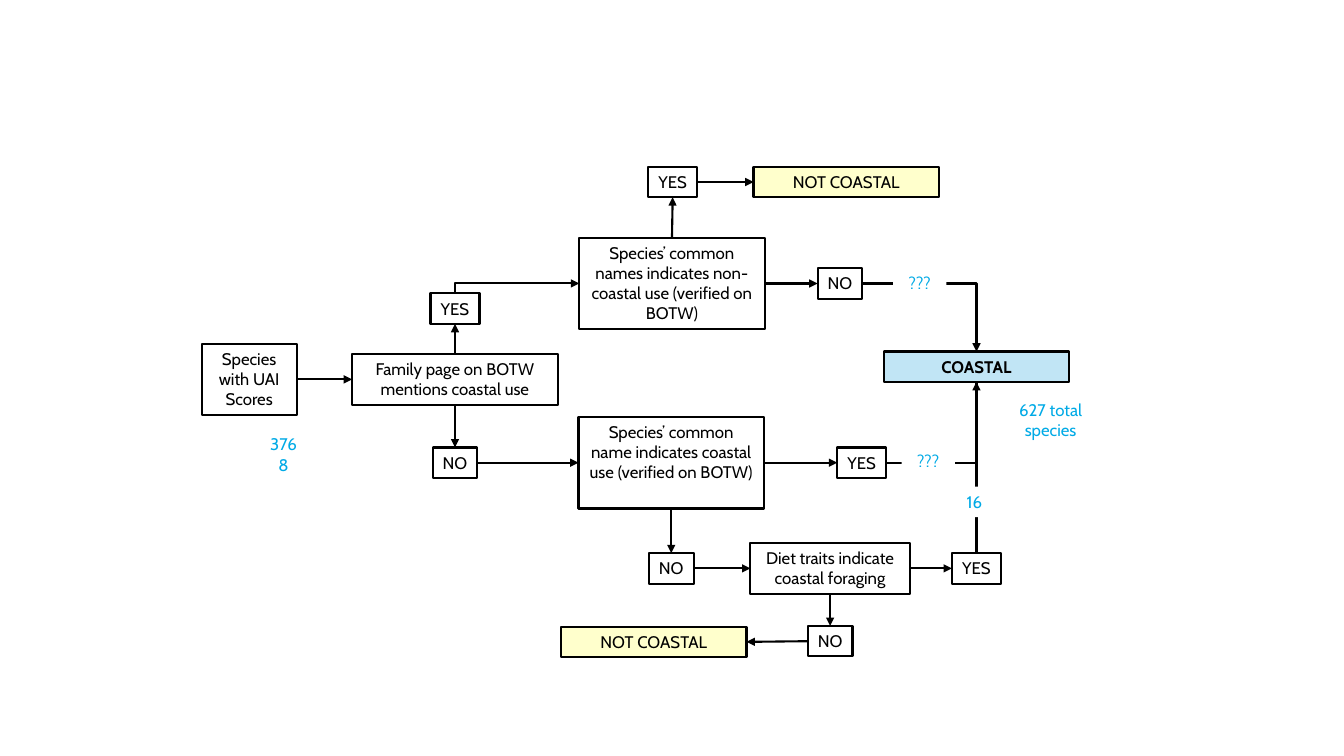
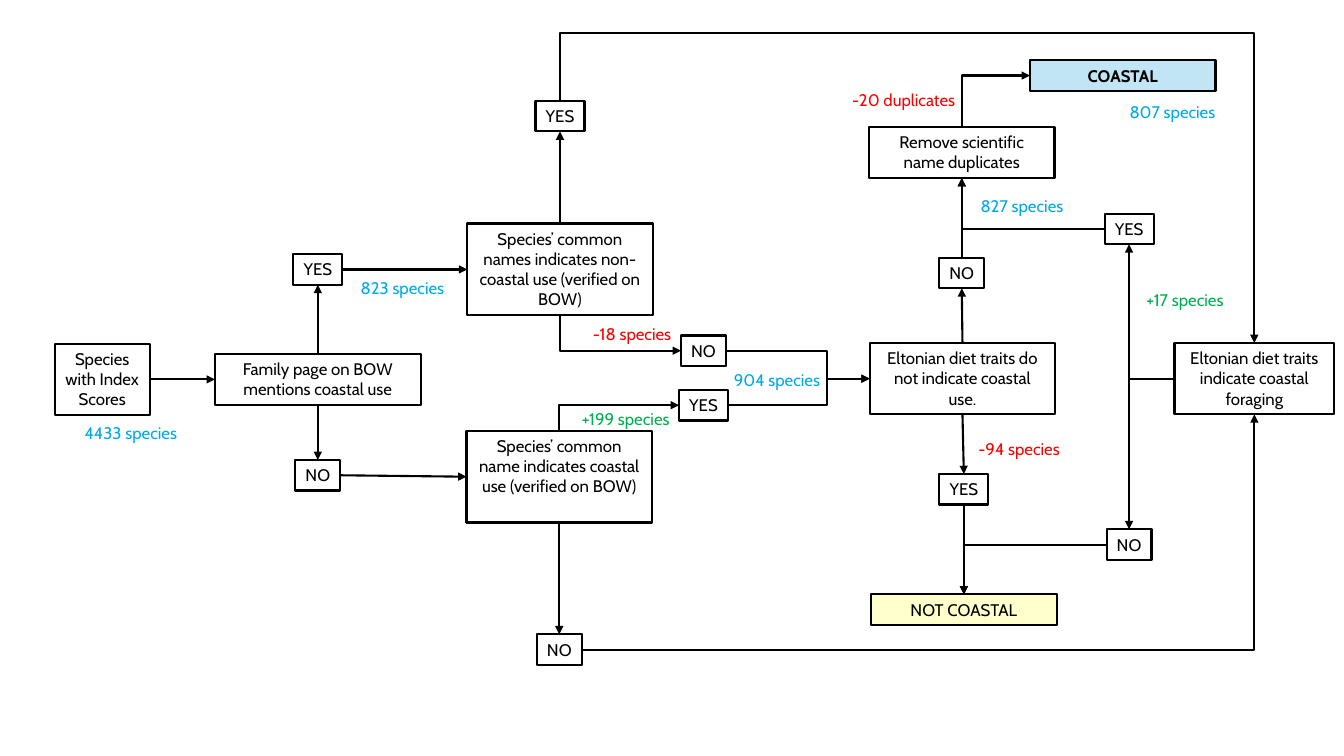
import dataclasses

import lxml.etree
import pptx
import pptx.dml.color
import pptx.enum.shapes
import pptx.enum.text
import pptx.oxml.ns
import pptx.util

Pt = pptx.util.Pt
qn = pptx.oxml.ns.qn
SITES = {"top": 0, "left": 1, "bottom": 2, "right": 3}


def rgb(value):
    return pptx.dml.color.RGBColor.from_string(value)


def apply(target, formats):
    for attribute, value in formats.items():
        setattr(target, attribute, value)


@dataclasses.dataclass(frozen=True)
class Theme:
    font: str = "Cabin"
    text_size: float = 12
    line_width: float = 1.5
    inset: float = 7.2
    line_height: float = 14.6
    ink: str = "000000"
    paper: str = "FFFFFF"
    coastal: str = "C1E5F5"
    not_coastal: str = "FFFFCC"
    count: str = "00AAE6"
    gain: str = "00B050"
    loss: str = "FF0000"
    yes_width: float = 35
    no_width: float = 32
    step_width: float = 132.5
    label_width: float = 88


class Flowchart:
    def __init__(self, presentation, theme):
        self.presentation = presentation
        self.theme = theme
        self.slide = None

    def new_slide(self):
        self.slide = self.presentation.slides.add_slide(self.presentation.slide_layouts[6])

    def frame(self, x, y, width, lines):
        height = self.theme.inset + self.theme.line_height * lines
        return Pt(x - width / 2), Pt(y - height / 2), Pt(width), Pt(height)

    def set_text(self, shape, text, color, bold=False, wrap=True):
        apply(shape.text_frame, {
            "word_wrap": wrap,
            "auto_size": pptx.enum.text.MSO_AUTO_SIZE.NONE,
            "vertical_anchor": pptx.enum.text.MSO_ANCHOR.TOP,
        })
        paragraph = shape.text_frame.paragraphs[0]
        paragraph.alignment = pptx.enum.text.PP_ALIGN.CENTER
        run = paragraph.add_run()
        run.text = text
        apply(run.font, {"name": self.theme.font, "size": Pt(self.theme.text_size), "bold": bold})
        run.font.color.rgb = rgb(color)

    def stroke(self, line):
        line.color.rgb = rgb(self.theme.ink)
        line.width = Pt(self.theme.line_width)

    def step(self, text, x, y, lines=1, width=None, fill=None, bold=False, wrap=True):
        step = self.slide.shapes.add_shape(
            pptx.enum.shapes.MSO_SHAPE.RECTANGLE,
            *self.frame(x, y, width or self.theme.step_width, lines))
        step.shadow.inherit = False
        if fill:
            step.fill.solid()
            step.fill.fore_color.rgb = rgb(fill)
        else:
            step.fill.background()
        self.stroke(step.line)
        self.set_text(step, text, self.theme.ink, bold, wrap)
        return step

    def yes(self, x, y):
        return self.step("YES", x, y, width=self.theme.yes_width, wrap=False)

    def no(self, x, y):
        return self.step("NO", x, y, width=self.theme.no_width, wrap=False)

    def coastal(self, x, y):
        return self.step("COASTAL", x, y, fill=self.theme.coastal, bold=True)

    def not_coastal(self, x, y):
        return self.step("NOT COASTAL", x, y, fill=self.theme.not_coastal)

    def label(self, text, x, y, color, width=None, lines=1, masked=False):
        label = self.slide.shapes.add_textbox(
            *self.frame(x, y, width or self.theme.label_width, lines))
        if masked:
            label.fill.solid()
            label.fill.fore_color.rgb = rgb(self.theme.paper)
        self.set_text(label, text, color)

    def connect(self, kind, source, source_side, target, target_side, arrow=True):
        link = self.slide.shapes.add_connector(kind, 0, 0, 0, 0)
        link.begin_connect(source, SITES[source_side])
        link.end_connect(target, SITES[target_side])
        self.stroke(link.line)
        properties = link._element.spPr
        if arrow:
            lxml.etree.SubElement(properties.find(qn("a:ln")), qn("a:tailEnd"), type="triangle")
        lxml.etree.SubElement(properties, qn("a:effectLst"))
        return link

    def straight(self, source, source_side, target, target_side, arrow=True):
        self.connect(pptx.enum.shapes.MSO_CONNECTOR.STRAIGHT,
                     source, source_side, target, target_side, arrow)

    def elbow(self, source, source_side, target, target_side, bend=None):
        link = self.connect(pptx.enum.shapes.MSO_CONNECTOR.ELBOW,
                            source, source_side, target, target_side)
        across, down = link.end_x - link.begin_x, link.end_y - link.begin_y
        center_x, center_y = link.begin_x + across / 2, link.begin_y + down / 2
        width, height = abs(across), abs(down)
        if source_side in ("top", "bottom"):
            width, height = height, width
            angle, flip_h, flip_v = (90, 1, 1) if down < 0 else (270, 1, 0)
        elif across < 0:
            angle, flip_h, flip_v = 180, 0, int(down > 0)
        else:
            angle, flip_h, flip_v = 0, 0, int(down < 0)
        apply(link, {
            "left": int(center_x - width / 2), "top": int(center_y - height / 2),
            "width": width, "height": height,
        })
        transform = link._element.spPr.find(qn("a:xfrm"))
        for name, value in {"rot": angle * 60000, "flipH": flip_h, "flipV": flip_v}.items():
            transform.set(name, str(value))
        geometry = link._element.spPr.find(qn("a:prstGeom"))
        geometry.set("prst", "bentConnector2" if bend is None else "bentConnector3")
        if bend is not None:
            lxml.etree.SubElement(geometry.find(qn("a:avLst")), qn("a:gd"),
                                  name="adj1", fmla=f"val {round(bend * 100000)}")


def build_first_scheme(chart):
    theme = chart.theme
    chart.new_slide()
    species = chart.step("Species with UAI Scores", 178, 271, 3, 68)
    family = chart.step("Family page on BOTW mentions coastal use", 325, 271, 2, 147)
    family_yes = chart.yes(325, 220.5)
    family_no = chart.no(325, 330.5)
    inland_name = chart.step(
        "Species’ common names indicates non-coastal use (verified on BOTW)", 480, 202.5, 4)
    inland_yes = chart.yes(480.5, 130)
    inland_no = chart.no(600, 202.5)
    coast_name = chart.step(
        "Species’ common name indicates coastal use (verified on BOTW)", 479.5, 330.5, 4)
    coast_yes = chart.yes(615.5, 330.5)
    coast_no = chart.no(479.5, 406)
    diet = chart.step("Diet traits indicate coastal foraging", 593, 406, 2, 114)
    diet_yes = chart.yes(697.5, 406)
    diet_no = chart.no(593, 458)
    coastal = chart.coastal(697.5, 262)
    inland_result = chart.not_coastal(604.5, 130)
    diet_result = chart.not_coastal(467, 458.5)

    for link in (
        (species, "right", family, "left"),
        (family, "top", family_yes, "bottom"),
        (family, "bottom", family_no, "top"),
        (family_no, "right", coast_name, "left"),
        (inland_name, "top", inland_yes, "bottom"),
        (inland_name, "right", inland_no, "left"),
        (inland_yes, "right", inland_result, "left"),
        (coast_name, "right", coast_yes, "left"),
        (coast_name, "bottom", coast_no, "top"),
        (coast_no, "right", diet, "left"),
        (diet, "right", diet_yes, "left"),
        (diet, "bottom", diet_no, "top"),
        (diet_no, "left", diet_result, "right"),
        (coastal, "bottom", diet_yes, "top", False),
    ):
        chart.straight(*link)
    for link in (
        (family_yes, "top", inland_name, "left"),
        (inland_no, "right", coastal, "top"),
        (coast_yes, "right", coastal, "bottom"),
    ):
        chart.elbow(*link)
    for text, x, y, width, lines, masked in (
        ("3768", 202.5, 317.5, 40, 1, True),
        ("627 total species", 750.5, 300, 77, 2, False),
        ("16", 696, 358.5, 38, 1, True),
        ("???", 663, 329, 38, 1, True),
        ("???", 657, 202.5, 38, 1, True),
    ):
        chart.label(text, x, y, theme.count, width, lines, masked)


def build_second_scheme(chart):
    theme = chart.theme
    chart.new_slide()
    species = chart.step("Species with Index Scores", 73, 271, 3, 68)
    family = chart.step("Family page on BOW mentions coastal use", 227, 271, 2, 147)
    family_yes = chart.yes(227, 192.5)
    family_no = chart.no(227, 339.5)
    inland_name = chart.step(
        "Species’ common names indicates non-coastal use (verified on BOW)", 400, 192.5, 4)
    inland_yes = chart.yes(400, 83)
    inland_no = chart.no(502.5, 250.5)
    coast_name = chart.step(
        "Species’ common name indicates coastal use (verified on BOW)", 399.5, 340.5, 4)
    coast_yes = chart.yes(502.5, 289.5)
    coast_no = chart.no(399.5, 464)
    inland_diet = chart.step("Eltonian diet traits do not indicate coastal use.", 687.5, 270.5, 3)
    inland_diet_no = chart.no(687, 195)
    inland_diet_yes = chart.yes(688.5, 349.5)
    coast_diet = chart.step(
        "Eltonian diet traits indicate coastal foraging", 896, 270.5, 3, 114)
    coast_diet_yes = chart.yes(806.5, 163.5)
    coast_diet_no = chart.no(806.5, 389)
    duplicates = chart.step("Remove scientific name duplicates", 687, 109, 2)
    coastal = chart.coastal(802, 54)
    not_coastal = chart.not_coastal(688.5, 435.5)

    for link in (
        (species, "right", family, "left"),
        (family, "top", family_yes, "bottom"),
        (family, "bottom", family_no, "top"),
        (family_yes, "right", inland_name, "left"),
        (family_no, "right", coast_name, "left"),
        (inland_name, "top", inland_yes, "bottom"),
        (coast_name, "bottom", coast_no, "top"),
        (inland_diet, "top", inland_diet_no, "bottom"),
        (inland_diet, "bottom", inland_diet_yes, "top"),
        (inland_diet_no, "top", duplicates, "bottom"),
        (inland_diet_yes, "bottom", not_coastal, "top"),
    ):
        chart.straight(*link)
    for link in (
        (inland_name, "bottom", inland_no, "left"),
        (coast_name, "top", coast_yes, "left"),
        (inland_no, "right", inland_diet, "left", 0.7),
        (coast_yes, "right", inland_diet, "left", 0.7),
        (inland_yes, "top", coast_diet, "top", -0.28),
        (coast_no, "right", coast_diet, "bottom"),
        (coast_diet, "left", coast_diet_yes, "bottom"),
        (coast_diet, "left", coast_diet_no, "top"),
        (coast_diet_no, "left", not_coastal, "top"),
        (coast_diet_yes, "left", duplicates, "bottom"),
        (duplicates, "top", coastal, "left"),
    ):
        chart.elbow(*link)
    for text, x, y, color in (
        ("4433 species", 93.5, 309.5, theme.count),
        ("823 species", 287.5, 206, theme.count),
        ("904 species", 555, 271.5, theme.count),
        ("827 species", 730, 147.5, theme.count),
        ("807 species", 837.5, 80, theme.count),
        ("+199 species", 447, 299, theme.gain),
        ("+17 species", 846.5, 214.5, theme.gain),
        ("-18 species", 451.5, 238.5, theme.loss),
        ("-94 species", 728, 320.5, theme.loss),
    ):
        chart.label(text, x, y, color)
    chart.label("-20 duplicates", 645.5, 71.5, theme.loss, 104)


def main():
    presentation = pptx.Presentation()
    apply(presentation, {"slide_width": Pt(960), "slide_height": Pt(540)})
    chart = Flowchart(presentation, Theme())
    build_first_scheme(chart)
    build_second_scheme(chart)
    presentation.save("out.pptx")


if __name__ == "__main__":
    main()
